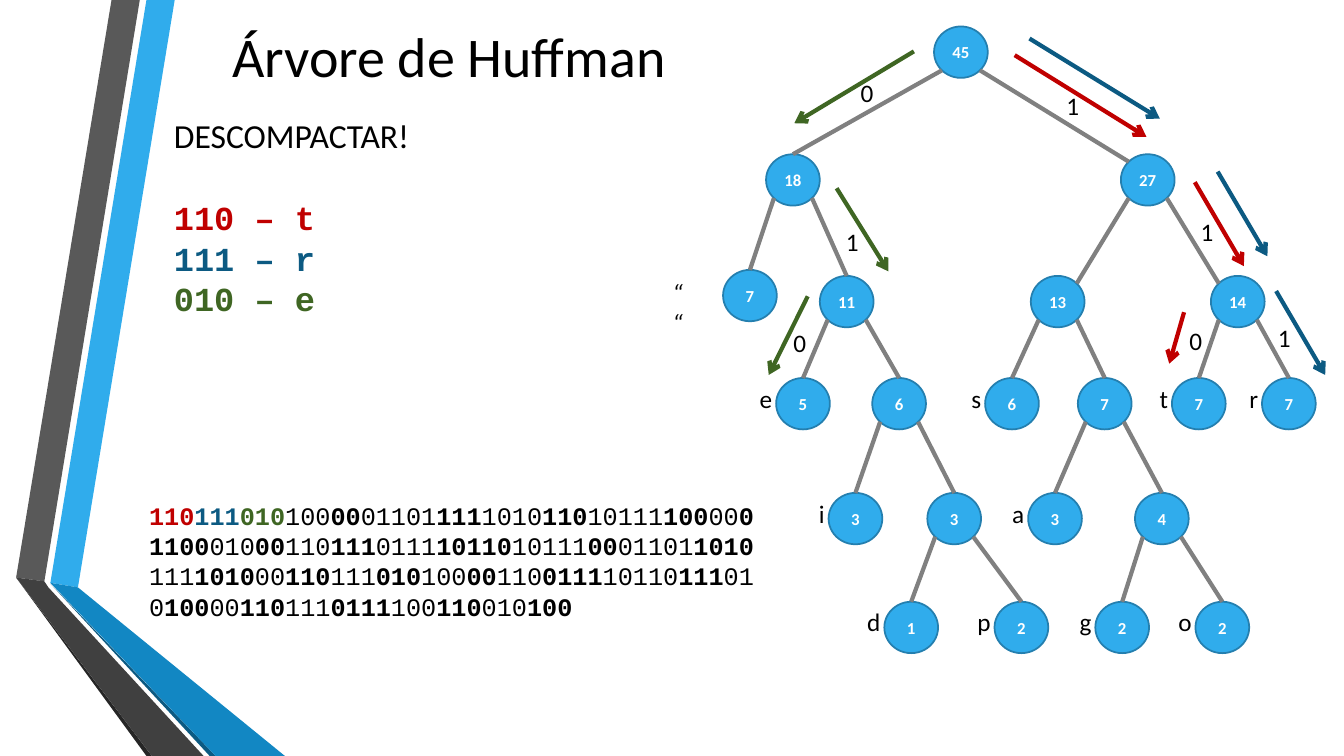
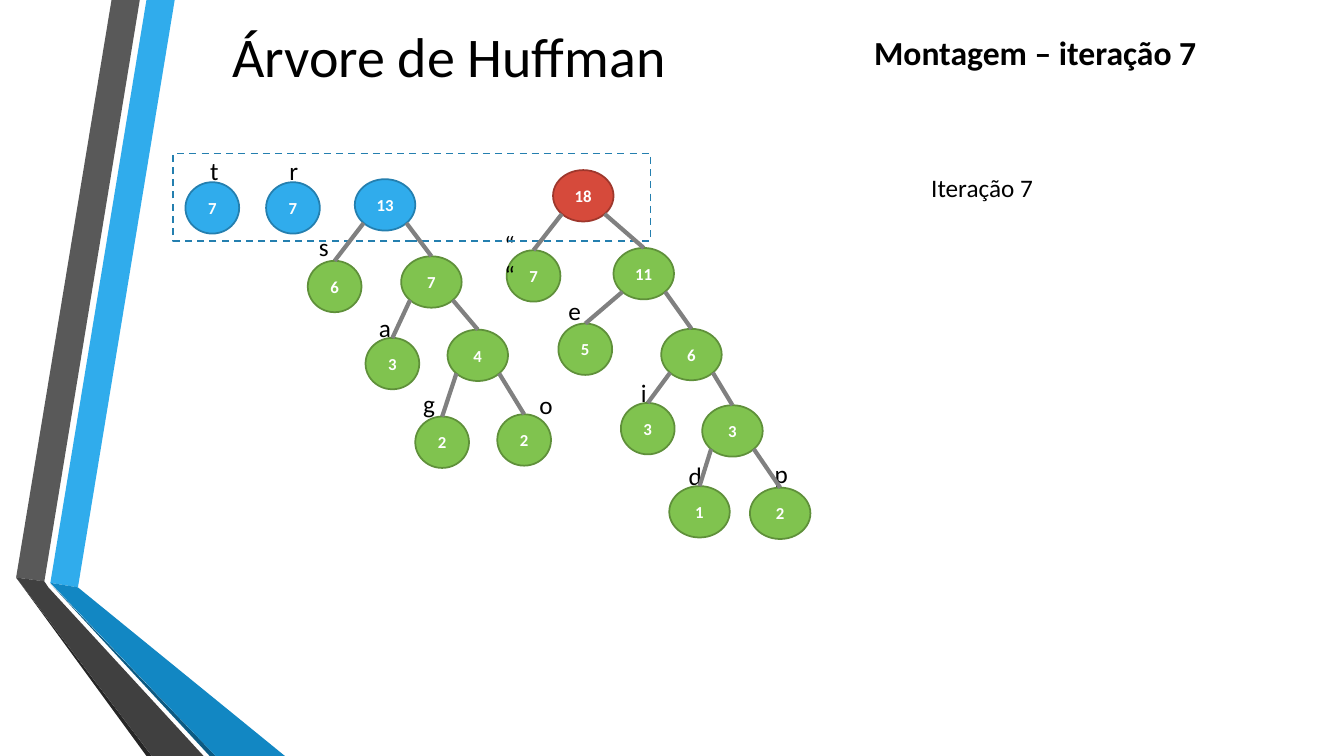
import pptx
import pptx.dml.color
import pptx.enum.dml
import pptx.enum.shapes
import pptx.enum.text
import pptx.oxml.ns
import pptx.util
from lxml import etree

WIDTH, HEIGHT = pptx.util.Inches(13.33), pptx.util.Inches(7.5)
# Every position and length below is a percentage of the slide's width or height.
SANS, MONO = "Calibri", "Courier New"
BLACK, WHITE, GRAY = "000000", "FFFFFF", "808080"
RED, NAVY, GREEN = "C00000", "0C5A82", "3F6623"
BLUE_NODE = ("30ACEC", "247FAF")
GREEN_NODE = ("80C34F", "5F903A")
RED_NODE = ("D64A3B", "9E372C")
NODE_W, WIDE_NODE_W, NODE_H = 4, 4.5, 6.8
DIAGONAL = 0.7071
LETTER_W, LETTER_H, QUOTES_W = 2.5, 5.3, 4.1

BANDS = [
    ("30ACEC", [(3.75, 77.1), (5.8, 77.7), (13, 0), (10.9, 0)]),
    ("595959", [(10.4, 0), (8.3, 0), (1.2, 76.4), (3.3, 76.9)]),
    ("262626", [(1.2, 76.4), (10.9, 100), (11.3, 100)]),
    (NAVY, [(3.75, 77.2), (15.6, 100), (16.05, 100)]),
    ("1287C3", [(3.75, 77.1), (16.05, 100), (21.2, 100), (5.8, 77.7)]),
    ("404040", [(15.15, 100), (3.6, 77.7), (3.3, 76.9), (1.2, 76.4),
                (11.3, 100)]),
]

# A node is named by its Huffman code, so its parent is the code less one bit.
WEIGHTS = {
    "": 45, "0": 18, "1": 27, "00": 7, "01": 11, "10": 13, "11": 14,
    "010": 5, "011": 6, "100": 6, "101": 7, "110": 7, "111": 7,
    "0110": 3, "0111": 3, "1010": 3, "1011": 4,
    "01110": 1, "01111": 2, "10110": 2, "10111": 2,
}
LETTERS = {
    "010": "e", "0110": "i", "01110": "d", "01111": "p", "100": "s",
    "1010": "a", "10110": "g", "10111": "o", "110": "t", "111": "r",
}
QUOTES = "“   “"

FULL_TREE = {
    "": (71.5, 6.9), "0": (59, 23.8), "1": (85.4, 23.8),
    "00": (55.8, 39.1), "01": (63, 39.9), "10": (78.7, 39.9),
    "11": (92.1, 39.9), "010": (59.75, 53.4), "011": (66.9, 53.4),
    "100": (75.3, 53.4), "101": (82.2, 53.4), "110": (89.2, 53.4),
    "111": (95.9, 53.4), "0110": (63.65, 68.6), "0111": (71, 68.6),
    "1010": (78.5, 68.6), "1011": (86.45, 68.6), "01110": (67.8, 83),
    "01111": (76, 83), "10110": (83.5, 83), "10111": (90.95, 83),
}
SHOULDER_ENDS = {"1", "10", "11"}
BIT_LABELS = [
    ("0", 63.3, 9.6), ("1", 78.6, 11.3), ("1", 62.2, 29.3), ("0", 58.3, 42.7),
    ("1", 88.6, 28), ("0", 87.75, 42.4), ("1", 94.35, 42),
]
WALKS = [
    (RED, [((75.5, 7.3), (85.3, 18.1)), ((88.9, 24.1), (92.55, 35.2)),
           ((88.1, 41.3), (87, 48.1))]),
    (NAVY, [((76.6, 5.1), (86.3, 15.7)), ((90.6, 22.7), (94.3, 33.9)),
            ((94.95, 38.5), (98.6, 49.6))]),
    (GREEN, [((68, 6.8), (59.1, 16.3)), ((62.25, 24.9), (66.1, 35.9)),
             ((60.1, 39.2), (57.2, 49.6))]),
]
DECODED = [("110", "t", RED), ("111", "r", NAVY), ("010", "e", GREEN)]
REMAINING_BITS = (
    "100 00 01101 111 1010 110 10111 100 00 01100 010 00 110 111 0111 10110 "
    "10111 00 01101 1010 111 1010 00 110 111 010 100 00 110 0111 10110 111 "
    "010 100 00 110 111 0111 100 110 010 100"
).split()

FOREST = {
    "0": (43.4, 25.9), "00": (39.7, 36.5), "01": (47.9, 36.2),
    "010": (43.55, 46.2), "011": (51.45, 46.9), "0110": (48.2, 56.7),
    "0111": (54.5, 57), "01110": (52.05, 67.7), "01111": (58.05, 67.9),
    "10": (28.65, 27.1), "100": (24.9, 37.9), "101": (32.1, 37.3),
    "1010": (29.2, 48.1), "1011": (35.55, 47), "10110": (32.9, 58.5),
    "10111": (39, 58.2), "110": (15.8, 27.5), "111": (21.8, 27.5),
}
WIDE_NODES = {"0", "01", "011", "0111", "01110", "01111", "10", "101", "1011"}
QUEUE_STYLES = {"0": RED_NODE, "10": BLUE_NODE, "110": BLUE_NODE,
                "111": BLUE_NODE}
FOREST_LETTERS = [
    ("t", 14.9, 19.9), ("r", 20.8, 19.9), ("s", 23, 30), ("e", 41.55, 38.4),
    ("i", 46.95, 49.2), ("a", 27.45, 40.7), ("g", 30.75, 50.7),
    ("o", 39.4, 50.9), ("p", 56.9, 60), ("d", 50.5, 60.3),
]


def across(share):
    return round(WIDTH * share / 100)


def down(share):
    return round(HEIGHT * share / 100)


def frame_of(left, top, width, height):
    return across(left), down(top), across(width), down(height)


def color(hex_text):
    return pptx.dml.color.RGBColor.from_string(hex_text)


def set_line(line, hex_text, points):
    line.color.rgb = color(hex_text)
    line.width = pptx.util.Pt(points)


def add_span(para, text, size, ink=BLACK, bold=False, italic=False, font=SANS):
    span = para.add_run()
    span.text = text
    span.font.size = pptx.util.Pt(size)
    span.font.name = font
    span.font.bold = bold
    span.font.italic = italic
    span.font.color.rgb = color(ink)


def add_text_box(page, left, top, width, height):
    box = page.shapes.add_textbox(*frame_of(left, top, width, height))
    box.text_frame.word_wrap = True
    return box.text_frame


def add_label(page, text, left, top, width=LETTER_W, height=LETTER_H, size=18,
              bold=False, italic=False, align=pptx.enum.text.PP_ALIGN.LEFT):
    frame = add_text_box(page, left, top, width, height)
    para = frame.paragraphs[0]
    para.alignment = align
    add_span(para, text, size, bold=bold, italic=italic)
    return frame


def add_line(page, start, end, ink, arrow=False):
    line = page.shapes.add_connector(
        pptx.enum.shapes.MSO_CONNECTOR.STRAIGHT,
        across(start[0]), down(start[1]), across(end[0]), down(end[1]))
    set_line(line.line, ink, 3)
    properties = line.element.spPr
    qn = pptx.oxml.ns.qn
    if arrow:
        etree.SubElement(properties.find(qn("a:ln")), qn("a:tailEnd"),
                         type="arrow")
    etree.SubElement(properties, qn("a:effectLst"))
    return line


def add_node(page, weight, center, width, style):
    x, y = center
    node = page.shapes.add_shape(
        pptx.enum.shapes.MSO_SHAPE.OVAL,
        *frame_of(x - width / 2, y - NODE_H / 2, width, NODE_H))
    node.shadow.inherit = False
    fill, outline = style
    node.fill.solid()
    node.fill.fore_color.rgb = color(fill)
    set_line(node.line, outline, 1.25)
    frame = node.text_frame
    frame.word_wrap = False
    frame.margin_left = frame.margin_right = 0
    frame.margin_top = frame.margin_bottom = 0
    frame.vertical_anchor = pptx.enum.text.MSO_ANCHOR.MIDDLE
    para = frame.paragraphs[0]
    para.alignment = pptx.enum.text.PP_ALIGN.CENTER
    add_span(para, str(weight), 12, WHITE, bold=True)
    return node


def add_nodes(page, places, style, styles={}, wide=()):
    return {
        code: add_node(page, WEIGHTS[code], center,
                       WIDE_NODE_W if code in wide else NODE_W,
                       styles.get(code, style))
        for code, center in places.items()
    }


def add_edges(page, places, nodes, wide=(), shoulders=()):
    """Join each node to its parent, at the top or at the facing shoulder."""
    rise = NODE_H / 2 * DIAGONAL
    for code, (x, y) in places.items():
        parent = code[:-1]
        if not code or parent not in places:
            continue
        side = 1 if code[-1] == "1" else -1
        parent_x, parent_y = places[parent]
        reach = (WIDE_NODE_W if parent in wide else NODE_W) / 2 * DIAGONAL
        start = (parent_x + side * reach, parent_y + rise)
        if code in shoulders:
            end = (x - side * NODE_W / 2 * DIAGONAL, y - rise)
            add_line(page, start, end, GRAY)
        else:
            edge = add_line(page, start, (x, y - NODE_H / 2), GRAY)
            edge.end_connect(nodes[code], 0)


def add_bands(page):
    for fill, points in BANDS:
        corners = [(across(x), down(y)) for x, y in points]
        builder = page.shapes.build_freeform(*corners[0])
        builder.add_line_segments(corners[1:], close=True)
        band = builder.convert_to_shape()
        band.shadow.inherit = False
        band.fill.solid()
        band.fill.fore_color.rgb = color(fill)
        band.line.fill.background()


def add_page(deck):
    """Add a blank page with the side bands and the title."""
    page = deck.slides.add_slide(deck.slide_layouts[6])
    add_bands(page)
    title = add_label(page, "Árvore de Huffman", 0, 0, 66.8, 14.5, 40,
                      align=pptx.enum.text.PP_ALIGN.CENTER)
    title.vertical_anchor = pptx.enum.text.MSO_ANCHOR.MIDDLE
    return page


def add_decoded_list(page):
    frame = add_label(page, "DESCOMPACTAR!", 12.2, 14.5, 40.6, 39, 24)
    frame.paragraphs[0].space_after = pptx.util.Pt(30)
    for code, letter, ink in DECODED:
        para = frame.add_paragraph()
        para.line_spacing = pptx.util.Pt(29)
        add_span(para, f"{code} – {letter}", 24, ink, bold=True, font=MONO)


def add_bit_stream(page):
    para = add_text_box(page, 10.35, 65.5, 47.2, 17.5).paragraphs[0]
    para.line_spacing = pptx.util.Pt(21.6)
    for code, _, ink in DECODED:
        add_span(para, code, 18, ink, bold=True, font=MONO)
    for index, bits in enumerate(REMAINING_BITS):
        add_span(para, bits, 18, bold=index % 2 == 1, font=MONO)


def add_unpacking_page(deck):
    page = add_page(deck)
    add_decoded_list(page)
    nodes = add_nodes(page, FULL_TREE, BLUE_NODE)
    add_edges(page, FULL_TREE, nodes, shoulders=SHOULDER_ENDS)
    add_label(page, QUOTES, 49.3, 36, QUOTES_W, italic=True)
    for code, letter in LETTERS.items():
        x, y = FULL_TREE[code]
        add_label(page, letter, x - NODE_W / 2 + 0.45 - LETTER_W,
                  y - NODE_H / 2, align=pptx.enum.text.PP_ALIGN.RIGHT)
    for bit, left, top in BIT_LABELS:
        add_label(page, bit, left, top)
    add_bit_stream(page)
    for ink, steps in WALKS:
        for start, end in steps:
            add_line(page, start, end, ink, arrow=True)


def add_assembly_page(deck):
    page = add_page(deck)
    add_label(page, "Montagem – iteração 7", 64.3, 3.6, 28.4, 7, 24, bold=True)
    add_label(page, "Iteração 7", 68.55, 22.1, 27.2)
    nodes = add_nodes(page, FOREST, GREEN_NODE, QUEUE_STYLES, WIDE_NODES)
    add_label(page, QUOTES, 36.8, 29.7, QUOTES_W)
    for letter, left, top in FOREST_LETTERS:
        add_label(page, letter, left, top)
    queue = page.shapes.add_shape(pptx.enum.shapes.MSO_SHAPE.RECTANGLE,
                                  *frame_of(12.9, 20.3, 35.5, 11.6))
    queue.shadow.inherit = False
    queue.fill.background()
    set_line(queue.line, BLUE_NODE[1], 1.25)
    queue.line.dash_style = pptx.enum.dml.MSO_LINE.DASH
    add_edges(page, FOREST, nodes, WIDE_NODES)


def main():
    deck = pptx.Presentation()
    deck.slide_width, deck.slide_height = WIDTH, HEIGHT
    add_unpacking_page(deck)
    add_assembly_page(deck)
    deck.save("out.pptx")


if __name__ == "__main__":
    main()
